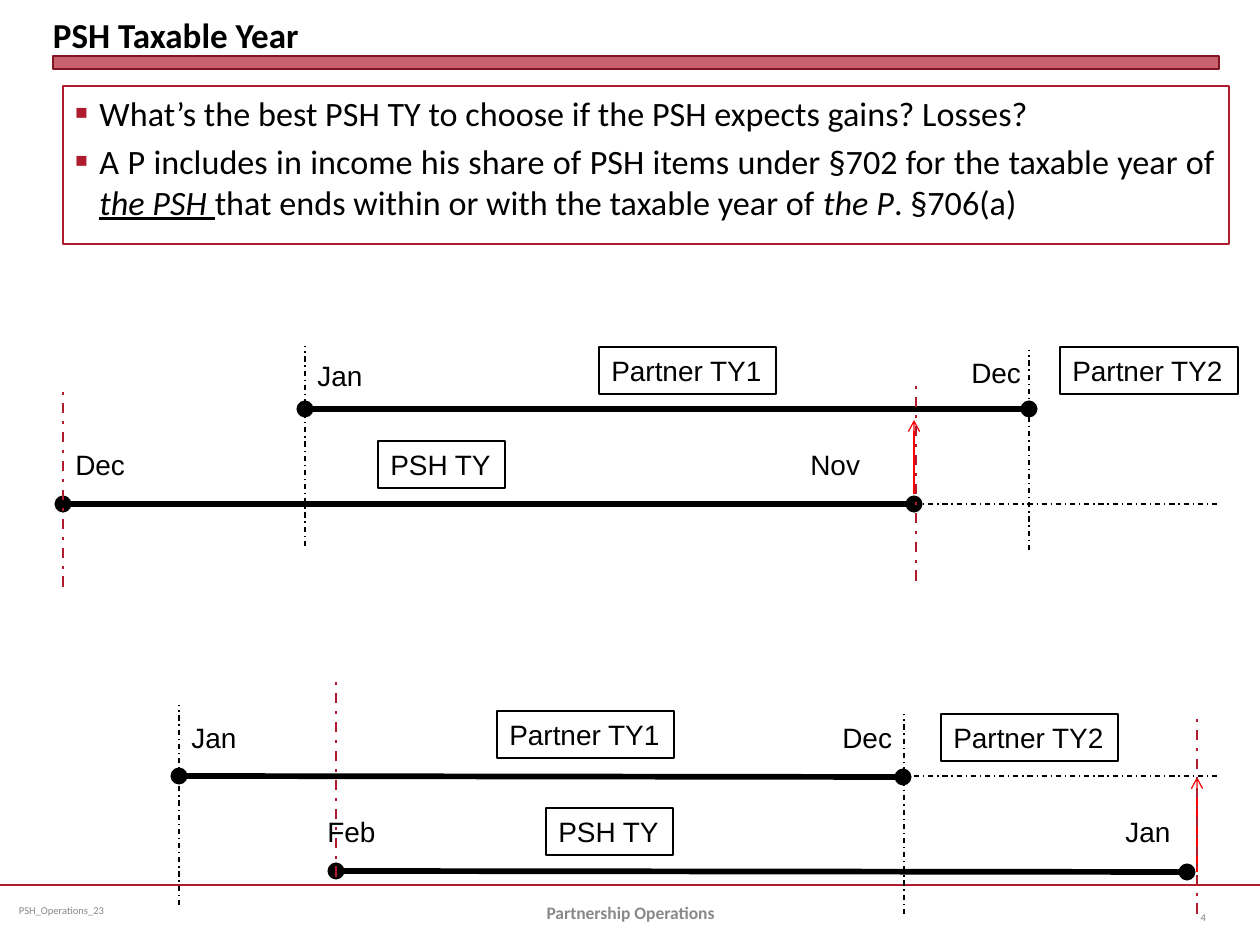
"""Build the slide comparing partnership and partner taxable years."""
from typing import NamedTuple, Optional

from lxml import etree
from pptx import Presentation
from pptx import util as u
from pptx.dml.color import RGBColor
from pptx.enum import dml, shapes, text
from pptx.oxml.ns import qn

SCALE = 914400 / 126
BLACK = RGBColor(0x00, 0x00, 0x00)
WHITE = RGBColor(0xFF, 0xFF, 0xFF)
CRIMSON = RGBColor(0xB0, 0x1C, 0x2E)
MAROON = RGBColor(0x82, 0x15, 0x22)
RED = RGBColor(0xFF, 0x00, 0x00)
GRAY = RGBColor(0x89, 0x89, 0x89)
PAGE_GRAY = RGBColor(0x80, 0x80, 0x80)
LABEL_HEIGHT = 47


class Stroke(NamedTuple):
    color: RGBColor
    width: float
    dashed: bool = False
    head: Optional[str] = None
    tail: Optional[str] = None


class Line(NamedTuple):
    x1: int
    y1: int
    x2: int
    y2: int
    stroke: Stroke


class Label(NamedTuple):
    words: str
    left: int
    top: int
    width: int
    framed: bool = False


class Caption(NamedTuple):
    words: str
    left: int
    top: int
    width: int
    height: int
    size: int
    color: RGBColor
    bold: bool = False
    align: text.PP_ALIGN = text.PP_ALIGN.LEFT
    anchor: text.MSO_ANCHOR = text.MSO_ANCHOR.MIDDLE
    inset: int = 9


class Piece(NamedTuple):
    words: str
    italic: bool = False
    underline: bool = False


YEAR = Stroke(BLACK, 3.25, head="oval", tail="oval")
ARROW = Stroke(RED, 0.75, tail="arrow")
GUIDE = Stroke(BLACK, 0.75, dashed=True)
PSH_GUIDE = Stroke(CRIMSON, 1.5, dashed=True)

LINES = [
    Line(0, 885, 1260, 885, Stroke(CRIMSON, 1.25)),
    Line(305, 409, 1029, 409, YEAR),
    Line(63, 504, 914, 504, YEAR),
    Line(179, 776, 903, 777, YEAR),
    Line(336, 871, 1187, 872, YEAR),
    Line(914, 494, 914, 420, ARROW),
    Line(1197, 872, 1197, 777, ARROW),
    Line(914, 776, 1218, 776, GUIDE),
    Line(914, 504, 1218, 504, GUIDE),
    Line(305, 546, 305, 346, GUIDE),
    Line(1029, 550, 1029, 350, GUIDE),
    Line(904, 914, 904, 714, GUIDE),
    Line(179, 905, 179, 705, GUIDE),
    Line(63, 587, 63, 387, PSH_GUIDE),
    Line(336, 877, 336, 677, PSH_GUIDE),
    Line(916, 581, 916, 381, PSH_GUIDE),
    Line(1197, 914, 1197, 714, PSH_GUIDE),
]
LABELS = [
    Label("Jan", 305, 352, 71),
    Label("Dec", 959, 349, 76),
    Label("Dec", 63, 441, 76),
    Label("Nov", 798, 441, 76),
    Label("PSH TY", 378, 441, 127, True),
    Label("Partner TY1", 599, 347, 177, True),
    Label("Partner TY2", 1060, 347, 178, True),
    Label("Jan", 179, 714, 71),
    Label("Dec", 830, 714, 76),
    Label("Feb", 315, 808, 75),
    Label("Jan", 1113, 808, 71),
    Label("PSH TY", 546, 808, 127, True),
    Label("Partner TY1", 497, 711, 177, True),
    Label("Partner TY2", 941, 714, 177, True),
]
CAPTIONS = [
    Caption("PSH Taxable Year", 53, 6, 1166, 50, 20, BLACK, True,
            anchor=text.MSO_ANCHOR.BOTTOM, inset=0),
    Caption("PSH_Operations_23", 10, 885, 325, 50, 6, GRAY),
    Caption("Partnership Operations", 431, 888, 399, 50, 10, GRAY, True,
            text.PP_ALIGN.CENTER),
    Caption("4", 1155, 892, 63, 50, 6, PAGE_GRAY,
            align=text.PP_ALIGN.RIGHT, inset=12),
]
POINTS = [
    [Piece("What’s the best PSH TY to choose if the PSH expects gains? Losses?")],
    [Piece("A P includes in income his share of PSH items under §702 for the taxable year of "),
     Piece("the PSH ", True, True),
     Piece("that ends within or with the taxable year of "),
     Piece("the P", True), Piece(". §706(a)")],
]


def px(*lengths: int) -> list[u.Emu]:
    return [u.Emu(round(length * SCALE)) for length in lengths]


def style(font, name: str, size: float, color: RGBColor, bold: bool = False) -> None:
    font.name, font.size, font.bold = name, u.Pt(size), bold
    font.color.rgb = color


def add_line(page, line: Line) -> None:
    connector = page.shapes.add_connector(
        shapes.MSO_CONNECTOR.STRAIGHT, *px(line.x1, line.y1, line.x2, line.y2))
    stroke = line.stroke
    connector.line.color.rgb = stroke.color
    connector.line.width = u.Pt(stroke.width)
    if stroke.dashed:
        connector.line.dash_style = dml.MSO_LINE.DASH_DOT
    outline = connector.line._get_or_add_ln()
    for tag, kind in (("a:headEnd", stroke.head), ("a:tailEnd", stroke.tail)):
        if kind:
            etree.SubElement(outline, qn(tag), type=kind)
    etree.SubElement(connector._element.spPr, qn("a:effectLst"))


def add_label(page, label: Label) -> None:
    box = page.shapes.add_textbox(*px(label.left, label.top, label.width, LABEL_HEIGHT))
    frame = box.text_frame
    frame.text = label.words
    frame.word_wrap = False
    frame.auto_size = text.MSO_AUTO_SIZE.SHAPE_TO_FIT_TEXT
    style(frame.paragraphs[0].font, "Arial", 16, BLACK)
    if label.framed:
        box.line.color.rgb = BLACK
        box.line.width = u.Pt(0.75)


def add_caption(page, caption: Caption) -> None:
    box = page.shapes.add_textbox(
        *px(caption.left, caption.top, caption.width, caption.height))
    frame = box.text_frame
    frame.text = caption.words
    frame.word_wrap = True
    frame.vertical_anchor = caption.anchor
    frame.margin_left, frame.margin_right = px(caption.inset, caption.inset)
    frame.margin_top, frame.margin_bottom = px(caption.inset // 2, caption.inset // 2)
    para = frame.paragraphs[0]
    para.alignment = caption.align
    style(para.font, "Calibri", caption.size, caption.color, caption.bold)


def add_panel(page, bounds: tuple[int, int, int, int], fill: RGBColor,
              border: RGBColor, width: float):
    panel = page.shapes.add_shape(shapes.MSO_SHAPE.RECTANGLE, *px(*bounds))
    panel.shadow.inherit = False
    panel.fill.solid()
    panel.fill.fore_color.rgb = fill
    panel.line.color.rgb = border
    panel.line.width = u.Pt(width)
    return panel


def add_bullet(para) -> None:
    properties = para._p.get_or_add_pPr()
    indent = px(24)[0]
    properties.set("marL", str(indent))
    properties.set("indent", str(-indent))
    color = etree.SubElement(properties, qn("a:buClr"))
    etree.SubElement(color, qn("a:srgbClr"), val=str(CRIMSON))
    etree.SubElement(properties, qn("a:buSzPct"), val="60000")
    etree.SubElement(properties, qn("a:buFont"), typeface="Arial")
    etree.SubElement(properties, qn("a:buChar"), char="■")


def add_points(page, points: list[list[Piece]]) -> None:
    frame = add_panel(page, (63, 86, 1166, 158), WHITE, CRIMSON, 0.75).text_frame
    frame.word_wrap = True
    frame.vertical_anchor = text.MSO_ANCHOR.TOP
    for index, pieces in enumerate(points):
        para = frame.add_paragraph() if index else frame.paragraphs[0]
        add_bullet(para)
        para.alignment = text.PP_ALIGN.JUSTIFY
        para.space_before = u.Pt(4 if index else 0)
        for piece in pieces:
            span = para.add_run()
            span.text = piece.words
            style(span.font, "Calibri", 19.5, BLACK)
            span.font.italic, span.font.underline = piece.italic, piece.underline


def main() -> None:
    deck = Presentation()
    deck.slide_width, deck.slide_height = px(1260, 945)
    page = deck.slides.add_slide(deck.slide_layouts[6])
    rule = add_panel(page, (53, 56, 1166, 13), CRIMSON, MAROON, 0)
    tint = rule._element.spPr.find(qn("a:solidFill"))[0]
    etree.SubElement(tint, qn("a:alpha"), val="69000")
    for line in LINES:
        add_line(page, line)
    for label in LABELS:
        add_label(page, label)
    for caption in CAPTIONS:
        add_caption(page, caption)
    add_points(page, POINTS)
    deck.save("out.pptx")


if __name__ == "__main__":
    main()
